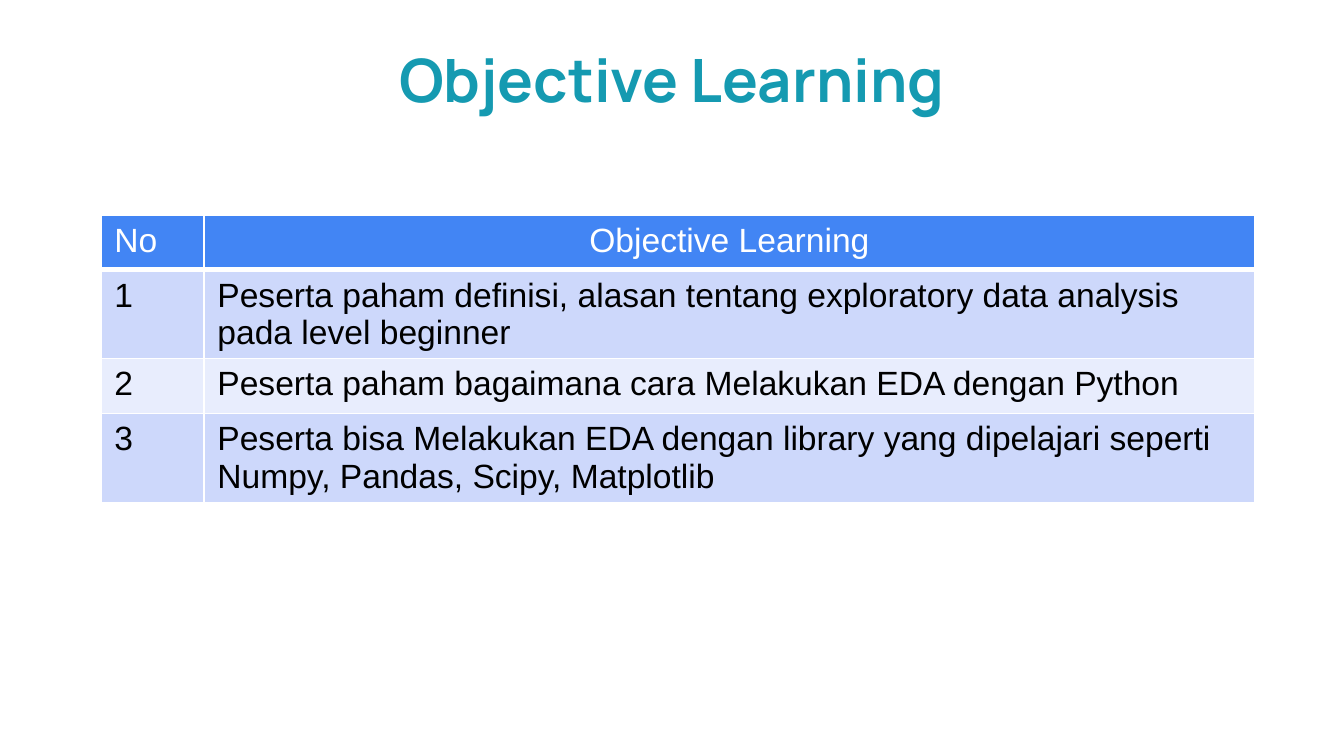
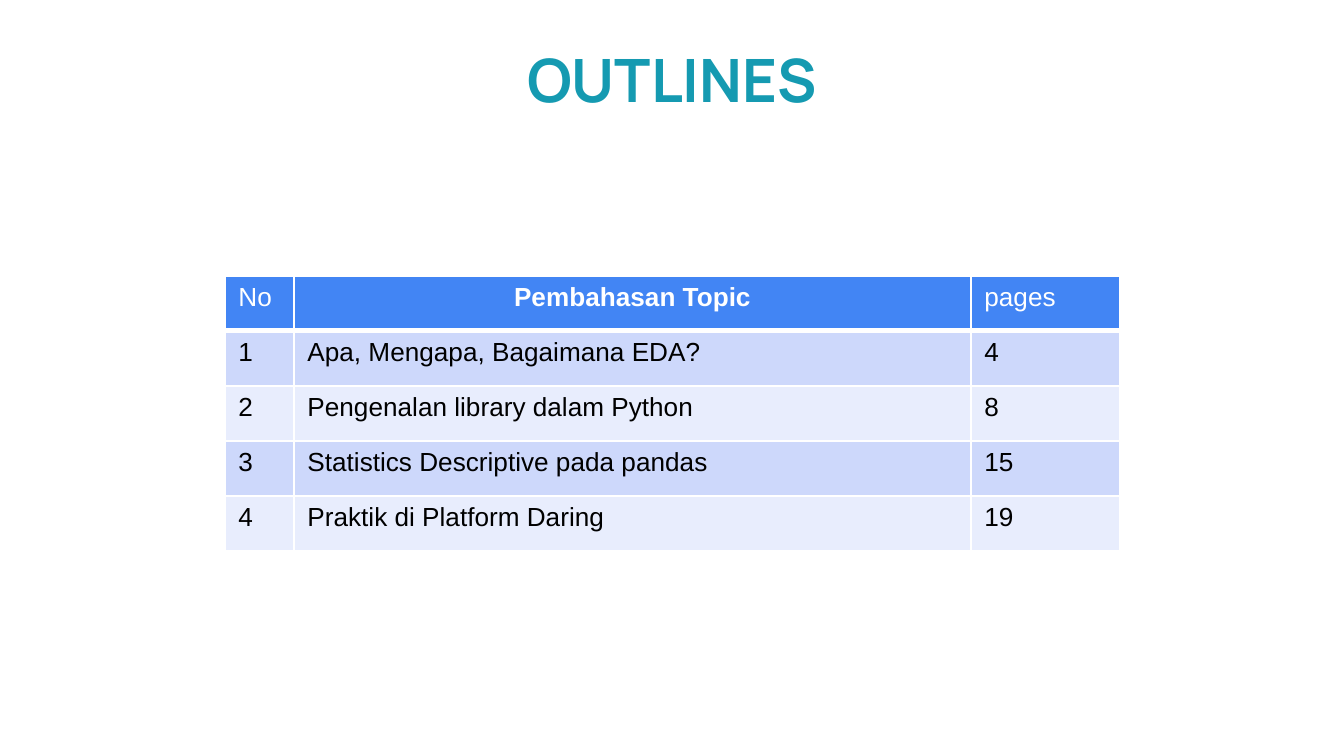
from dataclasses import dataclass

from lxml.etree import SubElement
from pptx import Presentation
from pptx.dml.color import RGBColor
from pptx.enum.text import MSO_ANCHOR, MSO_AUTO_SIZE, PP_ALIGN
from pptx.oxml.ns import qn
from pptx.util import Inches, Pt

SLIDE_W, SLIDE_H = 1344, 756
SCALE = Inches(10) / SLIDE_W
ROW_H = 55
TITLE_BOX = (304, 43, 736, 67)


@dataclass(frozen=True)
class Theme:
    title: str = "159AB1"
    header: str = "4285F4"
    bands: tuple = ("CDD8FB", "E8EDFD")
    white: str = "FFFFFF"
    black: str = "000000"
    title_font: str = "Manrope"
    body_font: str = "Arial"
    title_size: int = 32
    rule: int = 1
    header_rule: int = 3


THEME = Theme()

OBJECTIVES = [
    ("No", "Objective Learning"),
    ("1", "Peserta paham definisi, alasan tentang exploratory data analysis "
          "pada level beginner"),
    ("2", "Peserta paham bagaimana cara Melakukan EDA dengan Python"),
    ("3", "Peserta bisa Melakukan EDA dengan library yang dipelajari seperti "
          "Numpy, Pandas, Scipy, Matplotlib"),
]
OUTLINES = [
    ("No", "Pembahasan Topic", "pages"),
    ("1", "Apa, Mengapa, Bagaimana EDA?", "4"),
    ("2", "Pengenalan library dalam Python", "8"),
    ("3", "Statistics Descriptive pada pandas", "15"),
    ("4", "Praktik di Platform Daring", "19"),
]


def px(n):
    return round(n * SCALE)


def set_text(tf, text, color, align=PP_ALIGN.LEFT, **font):
    p = tf.paragraphs[0]
    p.alignment = align
    r = p.add_run()
    r.text = text
    for name, value in font.items():
        setattr(r.font, name, value)
    r.font.color.rgb = RGBColor.from_string(color)
    return p


def add_title(s, text, box):
    sp = s.shapes.title
    for name, value in zip(("left", "top", "width", "height"), box):
        setattr(sp, name, px(value))
    tf = sp.text_frame
    frame = dict(word_wrap=True, auto_size=MSO_AUTO_SIZE.NONE,
                 vertical_anchor=MSO_ANCHOR.TOP,
                 margin_left=px(9), margin_right=px(9),
                 margin_top=px(5), margin_bottom=px(5))
    for name, value in frame.items():
        setattr(tf, name, value)
    p = set_text(tf, text, THEME.title, PP_ALIGN.CENTER, name=THEME.title_font,
                 size=Pt(THEME.title_size), bold=True)
    p.space_before = Pt(0)
    p.line_spacing = 0.95


def set_borders(cell, widths):
    """Draw white borders; widths maps a side (L, R, T, B) to points."""
    tc_pr = cell._tc.get_or_add_tcPr()
    for side, width in widths.items():
        ln = SubElement(tc_pr, qn(f"a:ln{side}"), w=str(Pt(width)))
        fill = SubElement(ln, qn("a:solidFill"))
        SubElement(fill, qn("a:srgbClr"), val=THEME.white)


def add_table(s, rows, left, top, col_widths, size, bold_header=()):
    frame = s.shapes.add_table(len(rows), len(col_widths), px(left), px(top),
                               px(sum(col_widths)), px(ROW_H * len(rows)))
    table = frame.table
    table.horz_banding = False
    for column, width in zip(table.columns, col_widths):
        column.width = px(width)
    for i, row in enumerate(rows):
        table.rows[i].height = px(ROW_H)
        header = i == 0
        widths = dict.fromkeys("LRTB", THEME.rule)
        if i < 2:
            widths["B" if header else "T"] = THEME.header_rule
        for j, text in enumerate(row):
            cell = table.cell(i, j)
            set_borders(cell, widths)
            cell.fill.solid()
            fill = THEME.header if header else THEME.bands[(i - 1) % 2]
            cell.fill.fore_color.rgb = RGBColor.from_string(fill)
            set_text(cell.text_frame, text,
                     THEME.white if header else THEME.black,
                     PP_ALIGN.CENTER if header and j == 1 else PP_ALIGN.LEFT,
                     name=THEME.body_font, size=Pt(size),
                     bold=header and j in bold_header)


def add_table_slide(prs, title, rows, **table_format):
    s = prs.slides.add_slide(prs.slide_layouts.get_by_name("Title Only"))
    s.background.fill.solid()
    s.background.fill.fore_color.rgb = RGBColor.from_string(THEME.white)
    add_title(s, title, TITLE_BOX)
    add_table(s, rows, **table_format)


def main():
    prs = Presentation()
    prs.slide_width, prs.slide_height = px(SLIDE_W), px(SLIDE_H)
    add_table_slide(prs, "Objective Learning", OBJECTIVES, left=101, top=215,
                    col_widths=(103, 1051), size=18)
    add_table_slide(prs, "OUTLINES", OUTLINES, left=225, top=276,
                    col_widths=(69, 677, 149), size=14, bold_header=(1,))
    prs.save("out.pptx")


if __name__ == "__main__":
    main()
